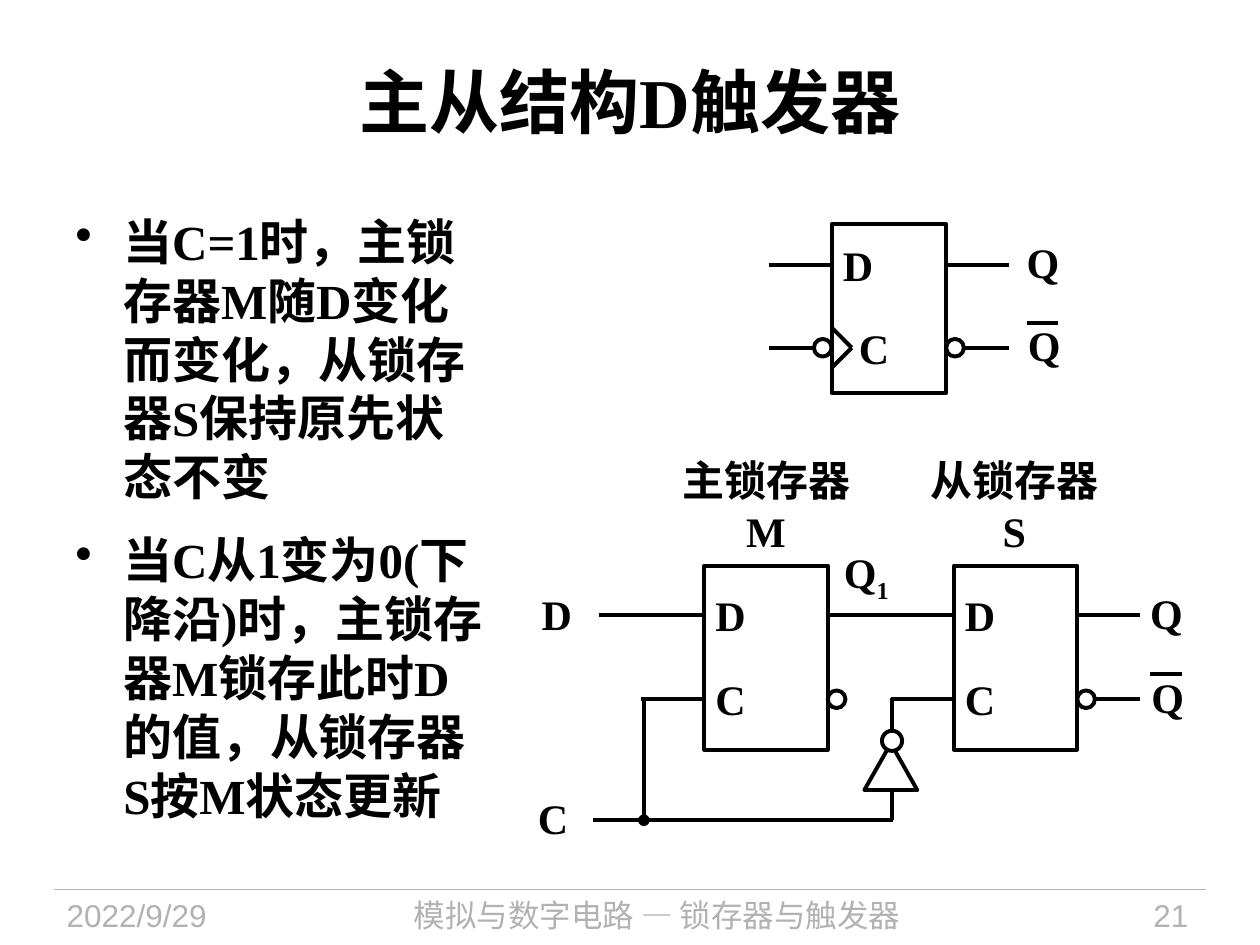
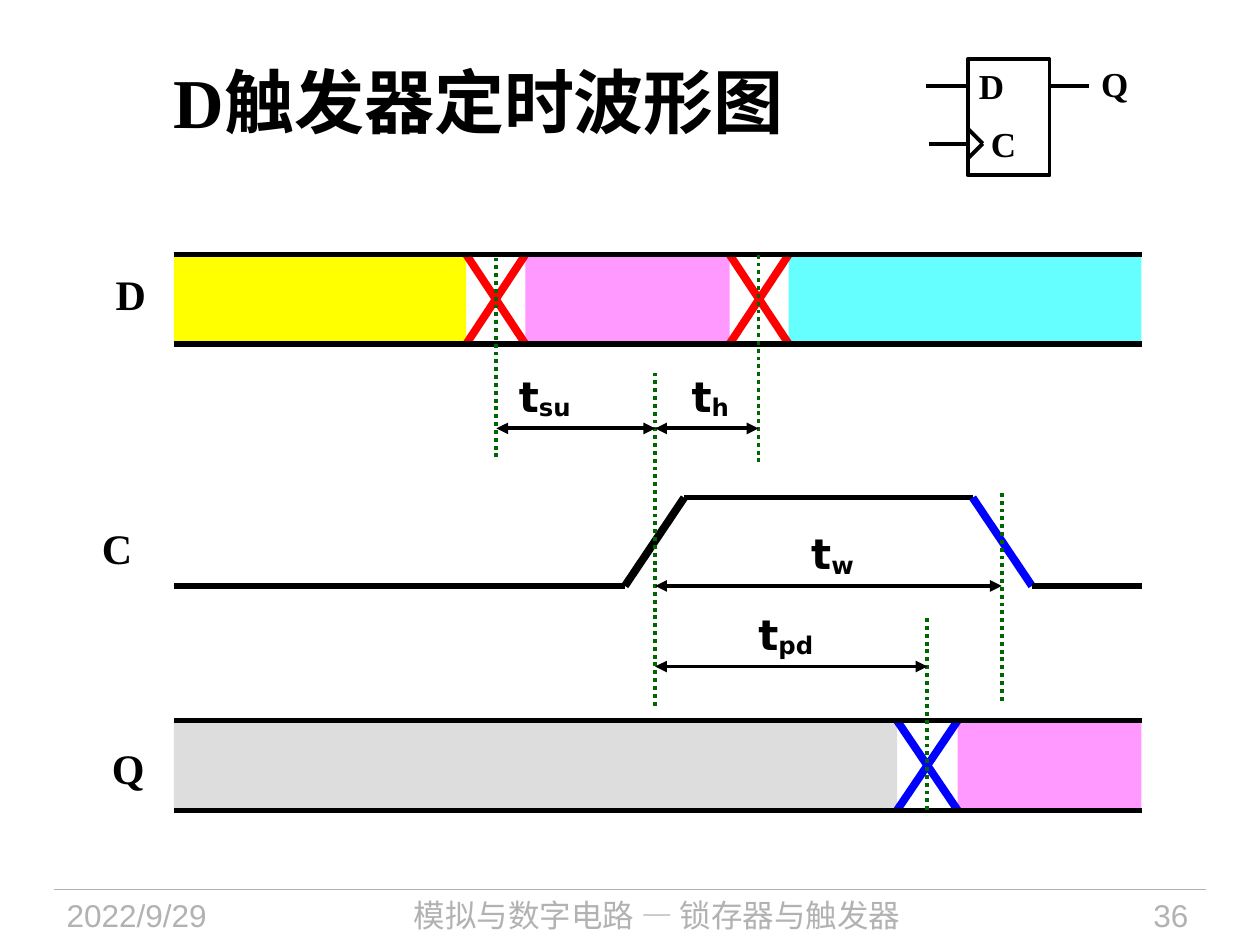
from dataclasses import dataclass
from typing import NamedTuple, Optional

import pptx
import pptx.dml.color
import pptx.enum.dml
import pptx.enum.shapes
import pptx.enum.text
import pptx.oxml
import pptx.oxml.ns
import pptx.util
from pptx.util import Inches

RGBColor = pptx.dml.color.RGBColor
Shape = pptx.enum.shapes.MSO_SHAPE
Align = pptx.enum.text.PP_ALIGN
AutoSize = pptx.enum.text.MSO_AUTO_SIZE

BLACK = RGBColor(0x00, 0x00, 0x00)
WHITE = RGBColor(0xFF, 0xFF, 0xFF)
GREY = RGBColor(0xB2, 0xB2, 0xB2)
SILVER = RGBColor(0xDD, 0xDD, 0xDD)
RED = RGBColor(0xFF, 0x00, 0x00)
BLUE = RGBColor(0x00, 0x00, 0xFF)
GREEN = RGBColor(0x00, 0x66, 0x00)
YELLOW = RGBColor(0xFF, 0xFF, 0x00)
PINK = RGBColor(0xFF, 0x99, 0xFF)
CYAN = RGBColor(0x66, 0xFF, 0xFF)

SERIF, SANS, TIMING_FONT = "Times New Roman", "Arial", "DejaVu Sans"
CJK = "Noto Sans CJK SC"
CJK_LEADING = 1.2
BUBBLE = 0.14
WAVE_LEFT, WAVE_RIGHT = 1.38, 9.06
WAVE_HEIGHT = 0.71


class Box(NamedTuple):
    left: float
    top: float
    width: float
    height: float


class Wire(NamedTuple):
    x1: float
    y1: float
    x2: float
    y2: float
    color: RGBColor = BLACK
    width: float = 2.25
    head: str = ""
    tail: str = ""
    dotted: bool = False


@dataclass
class Symbol:
    """A latch or flip-flop; pin drops are measured from the top edge."""
    body: Box
    d_drop: float
    c_drop: float
    stub: float = 0.5
    d_stub: float = 0.5
    size: int = 24
    notch: float = 0.0
    clock_bubble: bool = False
    q_gap: Optional[float] = None
    bubble: bool = False
    inverted_output: bool = False


class Segment(NamedTuple):
    left: float
    right: float
    color: RGBColor


class Span(NamedTuple):
    """A double-headed time interval with its label."""
    start: float
    end: float
    y: float
    label: Box
    subscript: str


def style(paragraph, size: float, font: str = SERIF, color: RGBColor = BLACK,
          bold: bool = True, align=None, leading: bool = False) -> None:
    if align is not None:
        paragraph.alignment = align
    if leading:
        paragraph.line_spacing = pptx.util.Pt(size * CJK_LEADING)
    paragraph.font.size = pptx.util.Pt(size)
    paragraph.font.bold = bold
    paragraph.font.name = font
    paragraph.font.color.rgb = color
    defaults = paragraph._p.pPr.find(pptx.oxml.ns.qn("a:defRPr"))
    add_xml(defaults, "a:ea", typeface=CJK)


def add_xml(parent, tag: str, **attributes: str):
    child = parent.makeelement(pptx.oxml.ns.qn(tag), attributes)
    parent.append(child)
    return child


def add_text(slide, box: Box, lines: list[str], size: float, subscript: str = "",
             drop: int = 0, wrap: bool = False, **look):
    frame = slide.shapes.add_textbox(*map(Inches, box)).text_frame
    frame.word_wrap = wrap
    frame.auto_size = AutoSize.NONE if wrap else AutoSize.SHAPE_TO_FIT_TEXT
    for index, line in enumerate(lines):
        paragraph = frame.add_paragraph() if index else frame.paragraphs[0]
        paragraph.add_run().text = line
        if subscript:
            run = paragraph.add_run()
            run.text = subscript
            run._r.get_or_add_rPr().set("baseline", str(-drop * 1000))
        style(paragraph, size, **look)
    return frame


def add_wire(slide, wire: Wire) -> None:
    connector = slide.shapes.add_connector(
        pptx.enum.shapes.MSO_CONNECTOR.STRAIGHT, *map(Inches, wire[:4]))
    connector.line.color.rgb = wire.color
    connector.line.width = pptx.util.Pt(wire.width)
    if wire.dotted:
        connector.line.dash_style = pptx.enum.dml.MSO_LINE.ROUND_DOT
    outline = connector.line._get_or_add_ln()
    for tag, end in (("a:headEnd", wire.head), ("a:tailEnd", wire.tail)):
        if end:
            add_xml(outline, tag, type=end)
    add_xml(connector._element.spPr, "a:effectLst")


def add_block(slide, kind, box: Box, fill: Optional[RGBColor] = None,
              outlined: bool = True, rotation: float = 0) -> None:
    block = slide.shapes.add_shape(kind, *map(Inches, box))
    block.shadow.inherit = False
    block.rotation = rotation
    if fill is None:
        block.fill.background()
    else:
        block.fill.solid()
        block.fill.fore_color.rgb = fill
    if outlined:
        block.line.color.rgb = BLACK
        block.line.width = pptx.util.Pt(2.25)
    else:
        block.line.fill.background()


def add_bubble(slide, left: float, y: float) -> None:
    add_block(slide, Shape.OVAL, Box(left, y - BUBBLE / 2, BUBBLE, BUBBLE), WHITE)


def add_symbol(slide, symbol: Symbol) -> None:
    left, top, width, height = symbol.body
    right, d_y, c_y = left + width, top + symbol.d_drop, top + symbol.c_drop
    pin_end = right + symbol.stub
    label_height = 0.5 if symbol.size == 24 else 0.43

    def label(text: str, x: float, y: float) -> None:
        add_text(slide, Box(x, y - label_height / 2, label_height - 0.05, label_height),
                 [text], symbol.size)

    add_block(slide, Shape.RECTANGLE, symbol.body)
    add_wire(slide, Wire(left - symbol.d_stub, d_y, left, d_y))
    add_wire(slide, Wire(left - symbol.stub, c_y, left, c_y))
    add_wire(slide, Wire(right, d_y, pin_end, d_y))
    label("D", left - 0.01, d_y)
    label("C", left - 0.01 + symbol.notch * 0.8, c_y)
    if symbol.notch:
        for side in (-1, 1):
            add_wire(slide, Wire(left, c_y + side * symbol.notch, left + symbol.notch, c_y))
    if symbol.clock_bubble:
        add_bubble(slide, left - BUBBLE, c_y)
    if symbol.q_gap is not None:
        q_left = pin_end + symbol.q_gap
        label("Q", q_left, d_y - 0.02)
        if symbol.inverted_output:
            add_wire(slide, Wire(right, c_y, pin_end, c_y))
            label("Q", q_left + 0.01, c_y - 0.02)
            add_wire(slide, Wire(q_left + 0.1, c_y - 0.2, q_left + 0.35, c_y - 0.2))
    if symbol.bubble:
        add_bubble(slide, right, c_y)


def add_bus(slide, top: float, segments: list[Segment], cross_color: RGBColor) -> None:
    """Filled stable values, with a cross in each gap between neighbours."""
    bottom = top + WAVE_HEIGHT
    for left, right, color in segments:
        add_block(slide, Shape.RECTANGLE, Box(left, top, right - left, WAVE_HEIGHT),
                  color, outlined=False)
    for before, after in zip(segments, segments[1:]):
        for y1, y2 in ((top, bottom), (bottom, top)):
            add_wire(slide, Wire(before.right, y1, after.left, y2, cross_color, 4.5))
    for y in (top, bottom):
        add_wire(slide, Wire(WAVE_LEFT, y, WAVE_RIGHT, y, width=3))


def new_slide(deck, title: str, number: str):
    slide = deck.slides.add_slide(deck.slide_layouts[5])
    heading = slide.shapes.title
    heading.left, heading.top, heading.width, heading.height = map(
        Inches, (0.5, 0.17, 9, 1.25))
    frame = heading.text_frame
    frame.text = title
    frame.auto_size = AutoSize.NONE
    frame.vertical_anchor = pptx.enum.text.MSO_ANCHOR.MIDDLE
    style(frame.paragraphs[0], 40, align=Align.CENTER)
    add_wire(slide, Wire(0.43, 7.06, 9.57, 7.06, GREY, 0.75))
    for text, left, width, font, align in (
            ("2022/9/29", 0.43, 1.88, SANS, Align.LEFT),
            ("模拟与数字电路 — 锁存器与触发器", 2.4, 5.63, CJK, Align.CENTER),
            (number, 8.2, 1.33, SANS, Align.RIGHT)):
        add_text(slide, Box(left, 7.06, width, 0.44), [text], 18, wrap=True, font=font,
                 color=GREY, bold=False, align=align, leading=font == CJK)
    return slide


def add_bullets(slide, box: Box, points: list[str]) -> None:
    frame = slide.shapes.add_textbox(*map(Inches, box)).text_frame
    frame.word_wrap = True
    for index, point in enumerate(points):
        paragraph = frame.add_paragraph() if index else frame.paragraphs[0]
        paragraph.text = point
        properties = paragraph._p.get_or_add_pPr()
        properties.set("marL", str(Inches(0.38)))
        properties.set("indent", str(-Inches(0.38)))
        add_xml(properties, "a:buChar", char="•")
        if index:
            paragraph.space_before = pptx.util.Pt(8)
        paragraph.space_after = pptx.util.Pt(6)
        style(paragraph, 28, leading=True)


def build_master_slave(deck) -> None:
    slide = new_slide(deck, "主从结构D触发器", "21")
    add_bullets(slide, Box(0.5, 1.63, 3.48, 5.35), [
        "当C=1时，主锁存器M随D变化而变化，从锁存器S保持原先状态不变",
        "当C从1变为0(下降沿)时，主锁存器M锁存此时D的值，从锁存器S按M状态更新"])
    add_symbol(slide, Symbol(Box(5.59, 4.49, 0.98, 1.46), 0.39, 1.06, d_stub=0.84,
                             bubble=True))
    add_symbol(slide, Symbol(Box(7.57, 4.49, 0.98, 1.46), 0.39, 1.06, q_gap=-0.02,
                             bubble=True, inverted_output=True))
    add_symbol(slide, Symbol(Box(6.6, 1.78, 0.91, 1.34), 0.32, 0.98, notch=0.16,
                             clock_bubble=True, q_gap=0.04, bubble=True,
                             inverted_output=True))
    add_wire(slide, Wire(4.71, 6.51, 7.09, 6.51))
    add_wire(slide, Wire(7.08, 5.54, 7.08, 6.51))
    add_wire(slide, Wire(5.11, 5.54, 5.11, 6.51, tail="oval"))
    add_block(slide, Shape.FLOWCHART_MERGE, Box(6.86, 5.9, 0.42, 0.37), WHITE, rotation=180)
    add_block(slide, Shape.OVAL, Box(7, 5.8, 0.16, 0.16), WHITE)
    add_text(slide, Box(4.2, 4.62, 0.44, 0.5), ["D"], 24)
    add_text(slide, Box(4.17, 6.24, 0.44, 0.5), ["C"], 24)
    add_text(slide, Box(6.6, 4.29, 0.57, 0.5), ["Q"], 24, subscript="1", drop=25)
    for left, name, letter in ((5.31, "主锁存器", "M"), (7.28, "从锁存器", "S")):
        add_text(slide, Box(left, 3.56, 1.54, 0.9), [name, letter], 24,
                 align=Align.CENTER, leading=True)


def build_timing(deck) -> None:
    slide = new_slide(deck, "D触发器定时波形图", "36")
    heading = slide.shapes.title.text_frame.paragraphs[0]
    heading.alignment = Align.LEFT
    heading._p.pPr.set("indent", str(Inches(0.78)))

    add_bus(slide, 2.02, [Segment(WAVE_LEFT, 3.7, YELLOW), Segment(4.17, 5.79, PINK),
                          Segment(6.26, WAVE_RIGHT, CYAN)], RED)
    add_bus(slide, 5.72, [Segment(WAVE_LEFT, 7.12, SILVER),
                          Segment(7.6, WAVE_RIGHT, PINK)], BLUE)

    low, high = 4.65, 3.95
    for clock_part in (Wire(WAVE_LEFT, low, 4.96, low, width=3),
                       Wire(4.96, low, 5.43, high, width=4.5),
                       Wire(5.43, high, 7.72, high, width=3),
                       Wire(7.72, high, 8.19, low, BLUE, 4.5),
                       Wire(8.19, low, WAVE_RIGHT, low, width=3)):
        add_wire(slide, clock_part)

    d_change, clock_rise, d_next, q_change, clock_fall = 3.94, 5.2, 6.02, 7.36, 7.95
    for x, bottom, top in ((d_change, 3.63, 2.02), (d_next, 3.67, 2.02),
                           (clock_rise, 5.6, 2.96), (q_change, 6.43, 4.89),
                           (clock_fall, 5.56, 3.91)):
        add_wire(slide, Wire(x, bottom, x, top, GREEN, dotted=True))
    for span in (Span(d_change, clock_rise, 3.4, Box(4.02, 2.89, 0.64, 0.5), "su"),
                 Span(clock_rise, d_next, 3.4, Box(5.39, 2.89, 0.51, 0.5), "h"),
                 Span(clock_rise, clock_fall, low, Box(6.34, 4.14, 0.57, 0.5), "w"),
                 Span(clock_rise, q_change, 5.29, Box(5.92, 4.78, 0.66, 0.5), "pd")):
        add_wire(slide, Wire(span.start, span.y, span.end, span.y,
                             head="triangle", tail="triangle"))
        add_text(slide, span.label, ["t"], 24, subscript=span.subscript, drop=10,
                 font=TIMING_FONT)
    for signal, left, top in (("D", 0.82, 2.08), ("C", 0.71, 4.1), ("Q", 0.79, 5.84)):
        add_text(slide, Box(left, top, 0.45, 0.5), [signal], 24)
    add_symbol(slide, Symbol(Box(7.68, 0.47, 0.65, 0.92), 0.21, 0.67, stub=0.31,
                             d_stub=0.33, size=20, notch=0.12, q_gap=0))


def main() -> None:
    deck = pptx.Presentation()
    deck.slide_width, deck.slide_height = Inches(10), Inches(7.5)
    build_master_slave(deck)
    build_timing(deck)
    deck.save("out.pptx")


if __name__ == "__main__":
    main()
